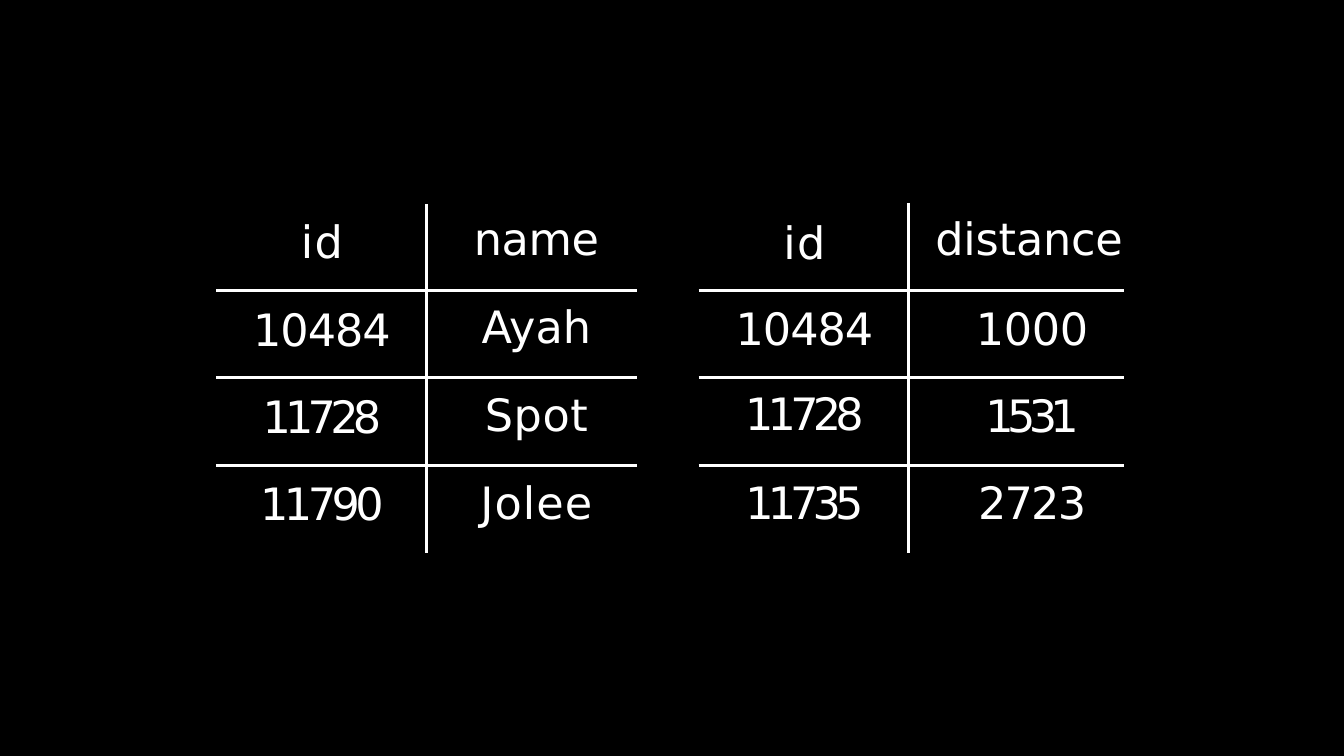
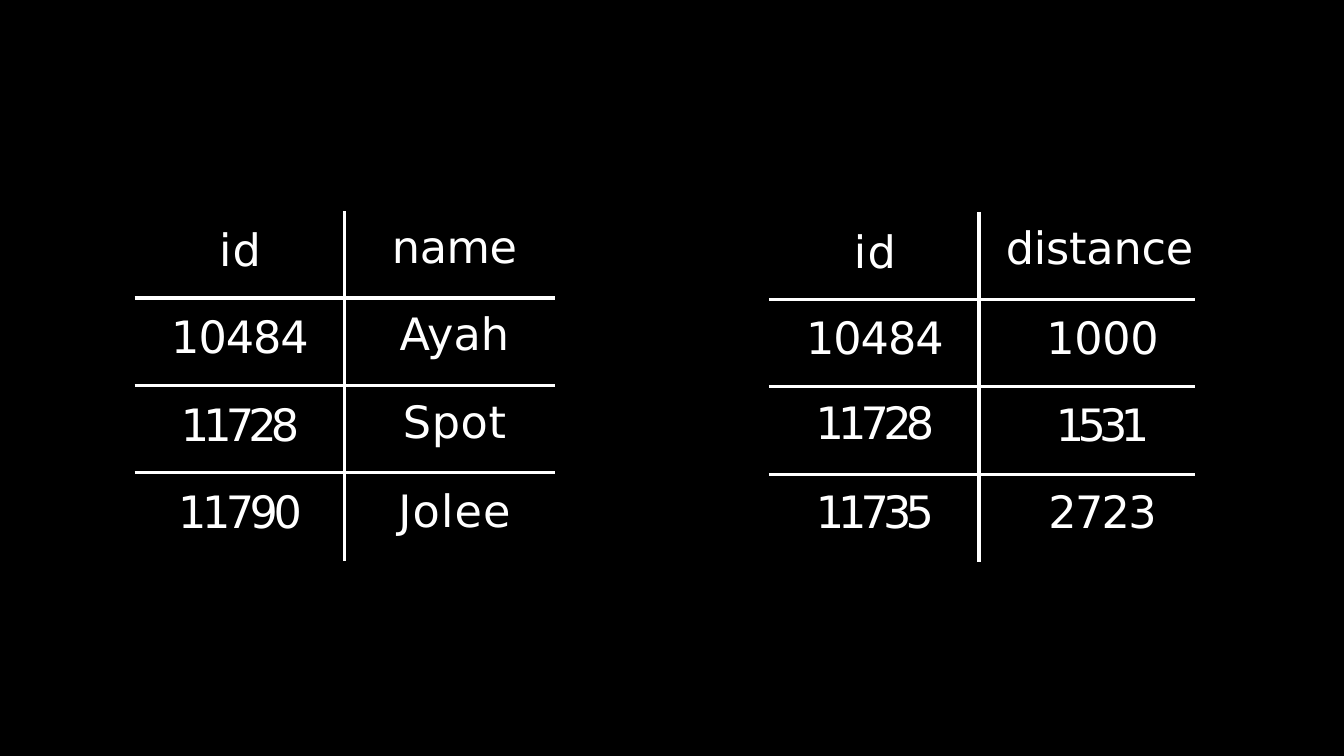
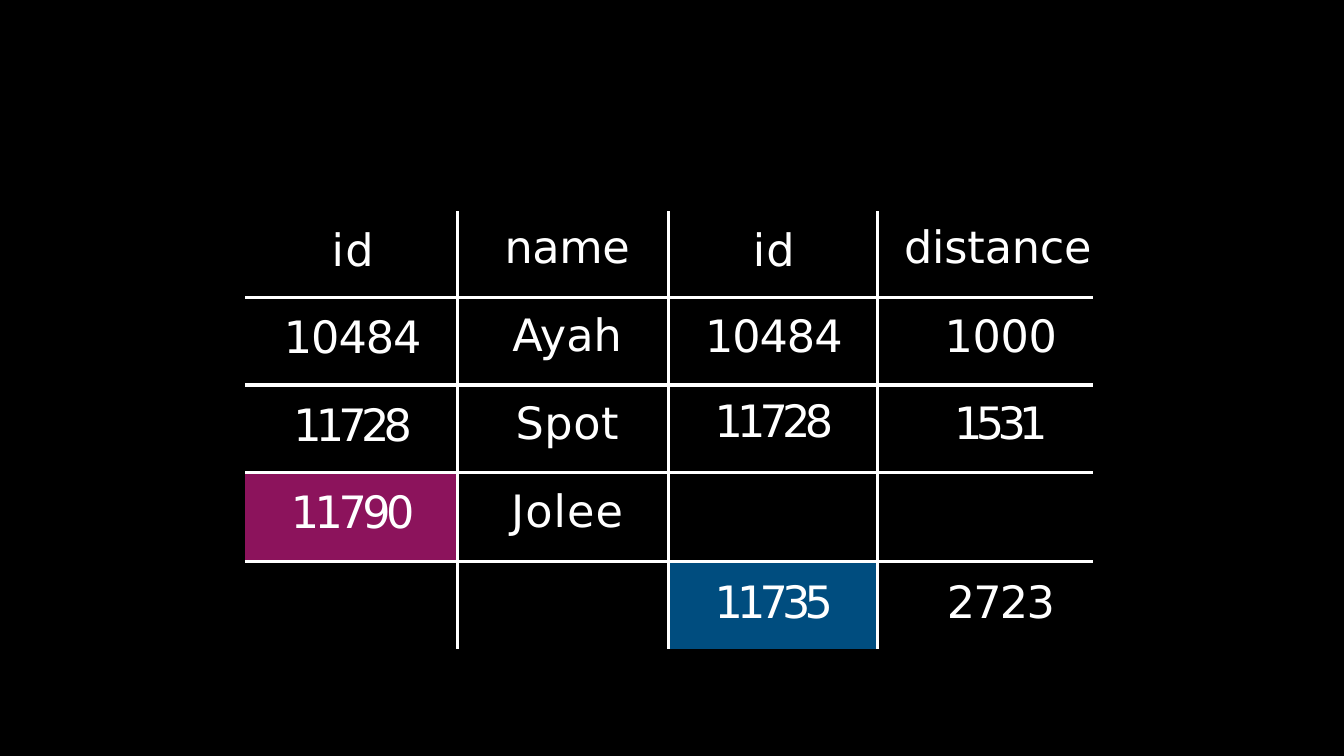
from dataclasses import dataclass

from lxml import etree
from pptx import Presentation
from pptx.dml.color import RGBColor
from pptx.enum import text
from pptx.oxml.ns import qn
from pptx.util import Pt


@dataclass(frozen=True)
class Theme:
    back: str = "000000"
    ink: str = "FFFFFF"
    plum: str = "8C135C"
    blue: str = "004D7F"
    font: str = "DejaVu Sans"
    size: float = 52.5
    rule: float = 4.25


THEME = Theme()
SIZE = (1583.5, 890.5)

# Letter spacing of each word, in points
TRACK = {
    "id": 1.6, "name": -0.4, "distance": -0.2,
    "10484": -1.2, "11728": -6.8, "11790": -5.3, "11735": -6.9,
    "Ayah": 0.1, "Spot": 0.8, "Jolee": 1.4,
    "1000": -0.4, "1531": -7.8, "2723": -2,
}

# A column: width, indent of header, indent of body, words, top insets
NAMES = {
    "rows": [102, 103, 103, 104],
    "cols": [
        (247.5, 1, 1, ["id", "10484", "11728", "11790"],
         [16.2, 16.9, 16.9, 16.9]),
        (247.5, 11.5, 11.5, ["name", "Ayah", "Spot", "Jolee"],
         [12.2, 13.7, 14.4, 15.3]),
    ],
}
RUNS = {
    "rows": [103] * 4,
    "cols": [
        (247.5, 2, 2, ["id", "10484", "11728", "11735"],
         [17.9, 15.8, 13.4, 15.8]),
        (254, 30, 37, ["distance", "1000", "1531", "2723"],
         [13.8, 15.8, 15.8, 15.8]),
    ],
}
JOINED = {
    "rows": [101.5, 103, 103, 104.5, 103.5],
    "cols": [
        (250, 3, 3, ["id", "10484", "11728", "11790", ""],
         [16.2, 17.6, 17.6, 17.6, 0]),
        (249, 9.5, 9.5, ["name", "Ayah", "Spot", "Jolee", ""],
         [12.2, 14.4, 15.2, 16.1, 0]),
        (246, 1.5, 1.5, ["id", "10484", "11728", "", "11735"],
         [16.5, 15.9, 13.5, 0, 18.6]),
        (253.5, 30, 37, ["distance", "1000", "1531", "", "2723"],
         [12.4, 15.9, 15.9, 0, 18.6]),
    ],
    "fills": {(3, 0): THEME.plum, (4, 2): THEME.blue},
}

# Each slide: left, top, table
SLIDES = [
    [(255, 240, NAMES), (823, 239, RUNS)],
    [(158.5, 249, NAMES), (906, 249.5, RUNS)],
    [(289, 249, JOINED)],
]


def paint(fill, color):
    fill.solid()
    fill.fore_color.rgb = RGBColor.from_string(color)


def edge(cell, side, shown):
    """Draw one border of a cell, or switch it off."""
    line = etree.SubElement(cell._tc.get_or_add_tcPr(), qn("a:ln" + side))
    line.set("w", str(Pt(THEME.rule)))
    if shown:
        solid = etree.SubElement(line, qn("a:solidFill"))
        etree.SubElement(solid, qn("a:srgbClr")).set("val", THEME.ink)
    else:
        etree.SubElement(line, qn("a:noFill"))


def write(cell, word, indent, top):
    cell.margin_left = cell.margin_right = cell.margin_bottom = 0
    cell.margin_top = Pt(top)
    if not word:
        return
    para = cell.text_frame.paragraphs[0]
    para.text = word
    para.alignment = text.PP_ALIGN.CENTER
    para._p.get_or_add_pPr().set("marL", str(Pt(indent)))
    run = para.runs[0]
    run.font.name = THEME.font
    run.font.size = Pt(THEME.size)
    run.font.color.rgb = RGBColor.from_string(THEME.ink)
    run._r.get_or_add_rPr().set("spc", str(round(TRACK[word] * 100)))


def draw(slide, left, top, data):
    """Add a table that is ruled only between its cells."""
    rows, cols = data["rows"], data["cols"]
    fills = data.get("fills", {})
    width = sum(col[0] for col in cols)
    frame = slide.shapes.add_table(len(rows), len(cols), Pt(left), Pt(top),
                                   Pt(width), Pt(sum(rows)))
    table = frame.table
    table.first_row = table.horz_banding = False
    for r, high in enumerate(rows):
        table.rows[r].height = Pt(high)
    for c, (wide, head, body, words, tops) in enumerate(cols):
        table.columns[c].width = Pt(wide)
        for r, (word, inset) in enumerate(zip(words, tops)):
            cell = table.cell(r, c)
            edge(cell, "L", c > 0)
            edge(cell, "R", c < len(cols) - 1)
            edge(cell, "T", r > 0)
            edge(cell, "B", r < len(rows) - 1)
            paint(cell.fill, fills.get((r, c), THEME.back))
            write(cell, word, body if r else head, inset)


def main():
    deck = Presentation()
    deck.slide_width, deck.slide_height = map(Pt, SIZE)
    paint(deck.slide_master.background.fill, THEME.back)
    for tables in SLIDES:
        slide = deck.slides.add_slide(deck.slide_layouts[6])
        for left, top, data in tables:
            draw(slide, left, top, data)
    deck.save("out.pptx")


if __name__ == "__main__":
    main()
